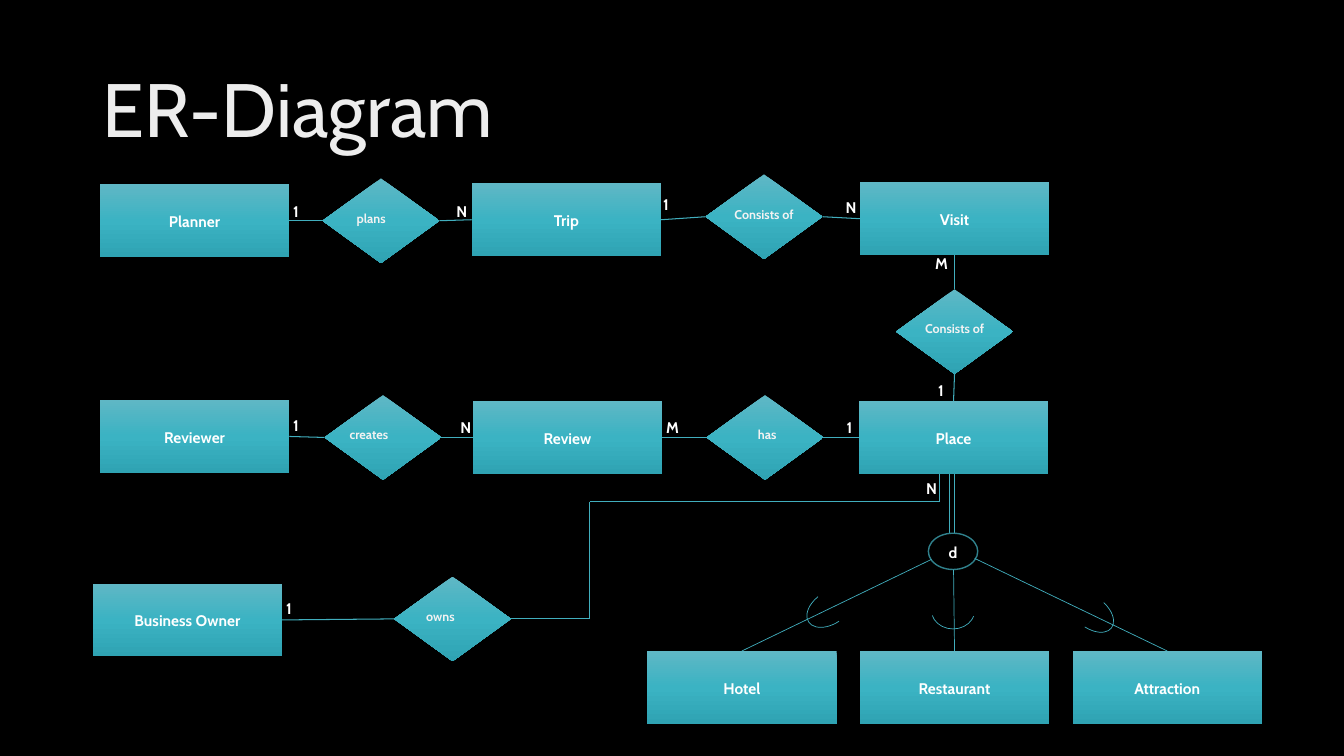
from dataclasses import dataclass
from itertools import pairwise

from lxml.etree import SubElement
from pptx import Presentation
from pptx.dml.color import RGBColor
from pptx.enum.shapes import MSO_CONNECTOR, MSO_SHAPE
from pptx.enum.text import MSO_ANCHOR, MSO_AUTO_SIZE, PP_ALIGN
from pptx.oxml.ns import qn
from pptx.util import Emu, Pt

COLS, ROWS = 160, 90
CELL = 76200  # a twelfth of an inch, square

BLACK = RGBColor(0x00, 0x00, 0x00)
WHITE = RGBColor(0xFF, 0xFF, 0xFF)
TITLE_GREY = RGBColor(0xED, 0xED, 0xED)
CAPTION_GREY = RGBColor(0xF2, 0xF2, 0xF2)
LINE_TEAL = RGBColor(0x41, 0xAE, 0xBD)
RING_TEAL = RGBColor(0x30, 0x81, 0x8C)
GRADIENT = {0: RGBColor(0x5F, 0xB7, 0xC5), 50: RGBColor(0x3B, 0xB3, 0xC3),
            100: RGBColor(0x2F, 0xA3, 0xB3)}

FONT = "Cabin"
ENTITY_SIZE = (22.56, 8.64)
DIAMOND_SIZE = (13.92, 10.08)
LABEL_SIZE = (5.64, 4.44)
CAPTION_DROP = 3.1
TOP, LEFT, BOTTOM, RIGHT = range(4)


@dataclass(frozen=True)
class Entity:
    name: str
    col: float
    row: float


@dataclass(frozen=True)
class Relation:
    verb: str
    col: float
    row: float
    indent: float  # 0 centres the verb
    source: str
    target: str = ""
    exit_side: int = RIGHT


@dataclass(frozen=True)
class Cardinality:
    mark: str
    col: float
    row: float


@dataclass(frozen=True)
class Subtype:
    name: str
    start: tuple[float, float]
    arc: tuple[float, float, float, float]
    rotation: float
    arc_start: float


SUBTYPES = [
    Subtype("Hotel", (110.88, 66.6), (95.76, 70.44, 6.12, 3.84), 146.4, 162),
    Subtype("Restaurant", (113.52, 67.8), (111.24, 70.08, 4.44, 5.16), 90, 171.47),
    Subtype("Attraction", (116.04, 66.48), (126.84, 71.04, 6.12, 3.72), 37.6, 170.93),
]
ENTITIES = [
    Entity("Planner", 11.88, 21.96),
    Entity("Trip", 56.16, 21.84),
    Entity("Visit", 102.36, 21.72),
    Entity("Reviewer", 11.88, 47.64),
    Entity("Review", 56.28, 47.76),
    Entity("Place", 102.24, 47.76),
    Entity("Business Owner", 11.04, 69.48),
    *(Entity(s.name, 77.04 + 25.32 * i, 77.5) for i, s in enumerate(SUBTYPES)),
]
RELATIONS = [
    Relation("plans", 38.4, 21.24, 2.88, "Planner", "Trip"),
    Relation("Consists of", 84, 20.76, 0, "Trip", "Visit"),
    Relation("Consists of", 106.68, 34.44, 0, "Visit", "Place", BOTTOM),
    Relation("creates", 38.64, 47.04, 1.8, "Reviewer", "Review"),
    Relation("has", 84.12, 47.04, 4.92, "Review", "Place"),
    Relation("owns", 46.92, 68.64, 2.64, "Business Owner"),
]
CARDINALITIES = [
    Cardinality("1", 33.72, 23.28), Cardinality("N", 53.16, 23.28),
    Cardinality("1", 77.76, 22.44), Cardinality("N", 99.48, 22.8),
    Cardinality("M", 110.16, 29.52), Cardinality("1", 110.52, 44.64),
    Cardinality("1", 33.72, 48.84), Cardinality("N", 53.64, 49.08),
    Cardinality("M", 78.12, 49.08), Cardinality("1", 99.6, 49.08),
    Cardinality("1", 32.88, 70.56), Cardinality("N", 109.08, 56.28),
]
OWNS_ROUTE = [(60.84, 73.68), (70.2, 73.68), (70.2, 59.76), (111.84, 59.76), (111.84, 56.4)]
DISJOINT_RING = (110.52, 63.48, 5.88, 4.32)
DOUBLE_LINE_COLS = (113.04, 113.6)


def cells(*counts: float) -> list[Emu]:
    return [Emu(round(n * CELL)) for n in counts]


def write(sp, text: str, size: float, color: RGBColor, align: PP_ALIGN, anchor=MSO_ANCHOR.TOP) -> None:
    tf = sp.text_frame
    tf.word_wrap = True
    tf.vertical_anchor = anchor
    p = tf.paragraphs[0]
    p.text = text
    p.alignment, p.line_spacing, p.space_after = align, 1.07, Pt(8)
    p.font.name, p.font.size, p.font.bold = FONT, Pt(size), True
    p.font.color.rgb = color


def add_text(shapes, text: str, box: tuple, size: float, color: RGBColor, align=PP_ALIGN.LEFT) -> None:
    write(shapes.add_textbox(*cells(*box)), text, size, color, align)


def add_block(shapes, preset: MSO_SHAPE, box: tuple):
    """Add a borderless shape with the teal gradient and a soft shadow below."""
    sp = shapes.add_shape(preset, *cells(*box))
    sp.line.fill.background()
    sp.fill.gradient()
    sp.fill.gradient_angle = 270
    stops = sp.element.spPr.find(".//" + qn("a:gsLst"))
    stops.clear()
    for pos, color in GRADIENT.items():
        stop = SubElement(stops, qn("a:gs"), pos=str(pos * 1000))
        SubElement(stop, qn("a:srgbClr"), val=str(color))
    sp.shadow.inherit = False
    shadow = SubElement(sp.element.spPr.find(qn("a:effectLst")), qn("a:outerShdw"),
                        blurRad=str(Pt(4.5)), dist=str(Pt(1.5)), dir="5400000", rotWithShape="0")
    black = SubElement(shadow, qn("a:srgbClr"), val=str(BLACK))
    SubElement(black, qn("a:alpha"), val="63000")
    return sp


def add_line(shapes, start=(0, 0), end=(0, 0), width: float = 0.75):
    line = shapes.add_connector(MSO_CONNECTOR.STRAIGHT, *cells(*start, *end))
    line.line.color.rgb = LINE_TEAL
    line.line.width = Pt(width)
    SubElement(line.element.spPr, qn("a:effectLst"))
    return line


def link(shapes, source, side: int, target) -> None:
    """Join one side of source to the facing side of target."""
    line = add_line(shapes)
    line.begin_connect(source, side)
    line.end_connect(target, (side + 2) % 4)


def add_relation(shapes, rel: Relation, entities: dict):
    sp = add_block(shapes, MSO_SHAPE.FLOWCHART_DECISION, (rel.col, rel.row, *DIAMOND_SIZE))
    link(shapes, entities[rel.source], rel.exit_side, sp)
    if rel.target:
        link(shapes, sp, rel.exit_side, entities[rel.target])
    width, height = DIAMOND_SIZE
    box = (rel.col + rel.indent, rel.row + CAPTION_DROP, width - rel.indent, height / 2)
    add_text(shapes, rel.verb, box, 9, CAPTION_GREY, PP_ALIGN.LEFT if rel.indent else PP_ALIGN.CENTER)
    return sp


def add_subtype(shapes, sub: Subtype, entity) -> None:
    add_line(shapes, sub.start, width=0.5).end_connect(entity, TOP)
    arc = shapes.add_shape(MSO_SHAPE.ARC, *cells(*sub.arc))
    arc.adjustments[0], arc.adjustments[1] = sub.arc_start, 45.65
    arc.rotation = sub.rotation
    arc.shadow.inherit = False
    arc.fill.background()
    arc.line.color.rgb = LINE_TEAL
    arc.line.width = Pt(0.5)


def add_title(slide) -> None:
    title = slide.shapes.title
    title.left, title.top, title.width, title.height = cells(11, 4.8, 138, 17.4)
    write(title, "ER-Diagram", 54, TITLE_GREY, PP_ALIGN.LEFT, MSO_ANCHOR.MIDDLE)
    title.text_frame.auto_size = MSO_AUTO_SIZE.NONE
    p = title.text_frame.paragraphs[0]
    p.line_spacing, p.space_after, p.font.bold = 0.9, Pt(0), False


def add_ring(shapes) -> None:
    ring = shapes.add_shape(MSO_SHAPE.OVAL, *cells(*DISJOINT_RING))
    ring.shadow.inherit = False
    ring.fill.background()
    ring.line.color.rgb = RING_TEAL
    ring.line.width = Pt(1)
    write(ring, "d", 11, WHITE, PP_ALIGN.CENTER, MSO_ANCHOR.MIDDLE)
    tf = ring.text_frame
    tf.margin_left = tf.margin_right = tf.margin_top = tf.margin_bottom = 0


def main() -> None:
    prs = Presentation()
    prs.slide_width, prs.slide_height = cells(COLS, ROWS)
    slide = prs.slides.add_slide(prs.slide_layouts[5])
    slide.background.fill.solid()
    slide.background.fill.fore_color.rgb = BLACK
    shapes = slide.shapes
    add_title(slide)

    entities = {}
    for e in ENTITIES:
        sp = add_block(shapes, MSO_SHAPE.RECTANGLE, (e.col, e.row, *ENTITY_SIZE))
        write(sp, e.name, 11, WHITE, PP_ALIGN.CENTER, MSO_ANCHOR.MIDDLE)
        entities[e.name] = sp
    for rel in RELATIONS:
        add_relation(shapes, rel, entities)
    for start, end in pairwise(OWNS_ROUTE):
        add_line(shapes, start, end)
    for col in DOUBLE_LINE_COLS:
        add_line(shapes, (col, 56.4), (col, DISJOINT_RING[1]))
    add_ring(shapes)
    for sub in SUBTYPES:
        add_subtype(shapes, sub, entities[sub.name])
    for c in CARDINALITIES:
        add_text(shapes, c.mark, (c.col, c.row, *LABEL_SIZE), 11, WHITE)
    prs.save("out.pptx")


if __name__ == "__main__":
    main()
